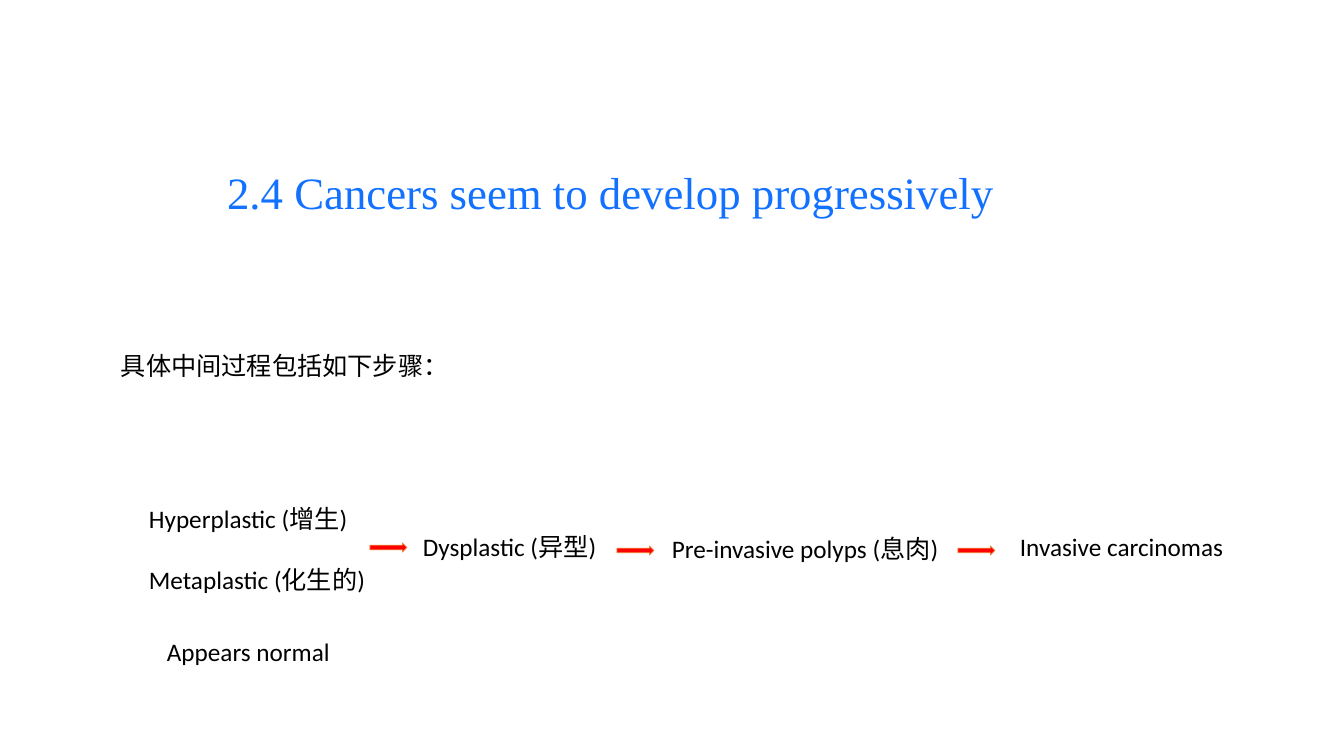
from pptx import Presentation
from pptx import util as u
from pptx.dml.color import RGBColor
from pptx.enum import shapes, text

PX = 12192000 / 1344  # EMU per px
LINE_H = 40


def px(*lengths):
    return [u.Emu(round(n * PX)) for n in lengths]


def color(hex_code):
    return RGBColor.from_string(hex_code)


def write(s, content, size, font, hex_code):
    tf = s.text_frame
    tf.text = content
    tf.word_wrap = True
    tf.auto_size = text.MSO_AUTO_SIZE.NONE
    tf.vertical_anchor = text.MSO_ANCHOR.TOP
    p = tf.paragraphs[0]
    p.alignment = text.PP_ALIGN.LEFT
    r = p.runs[0]
    r.font.size = u.Pt(size)
    r.font.name = font
    r.font.color.rgb = color(hex_code)


def add_title(slide, x, y, w, h):
    s = slide.shapes.title
    s.left, s.top, s.width, s.height = px(x, y, w, h)
    write(s, "2.4 Cancers seem to develop progressively",
          32, "Times New Roman", "1271FF")


def add_label(slide, content, x, y, w):
    s = slide.shapes.add_textbox(*px(x, y, w, LINE_H))
    write(s, content, 18, "Calibri", "000000")


def add_arrow(slide, x, y):
    s = slide.shapes.add_shape(shapes.MSO_SHAPE.RIGHT_ARROW, *px(x, y, 37, 9))
    s.shadow.inherit = False
    s.fill.solid()
    s.fill.fore_color.rgb = color("FF0000")
    s.line.color.rgb = color("ED7D31")
    s.line.width = u.Pt(0.5)


def add_progression(slide, x, y):
    # Stages: text, offset from the region's corner, width
    stages = [
        ("Hyperplastic (增生)", 0, 0, 221),
        ("Metaplastic (化生的)", 0, 61, 239),
        ("Dysplastic (异型)", 274, 28, 196),
        ("Pre-invasive polyps (息肉)", 523, 30, 295),
        ("Invasive carcinomas", 871, 28, 226),
        ("Appears normal", 18, 133, 184),
    ]
    for content, dx, dy, w in stages:
        add_label(slide, content, x + dx, y + dy, w)
    # Arrows between stages
    for dx, dy in [(231, 45), (478, 48), (819, 48)]:
        add_arrow(slide, x + dx, y + dy)


def main():
    prs = Presentation()
    prs.slide_width, prs.slide_height = px(1344, 756)
    slide = prs.slides.add_slide(prs.slide_layouts[5])
    add_title(slide, 217, 160, 947, 65)
    add_label(slide, "具体中间过程包括如下步骤：", 111, 345, 351)
    add_progression(slide, 139, 498)
    prs.save("out.pptx")


if __name__ == "__main__":
    main()
